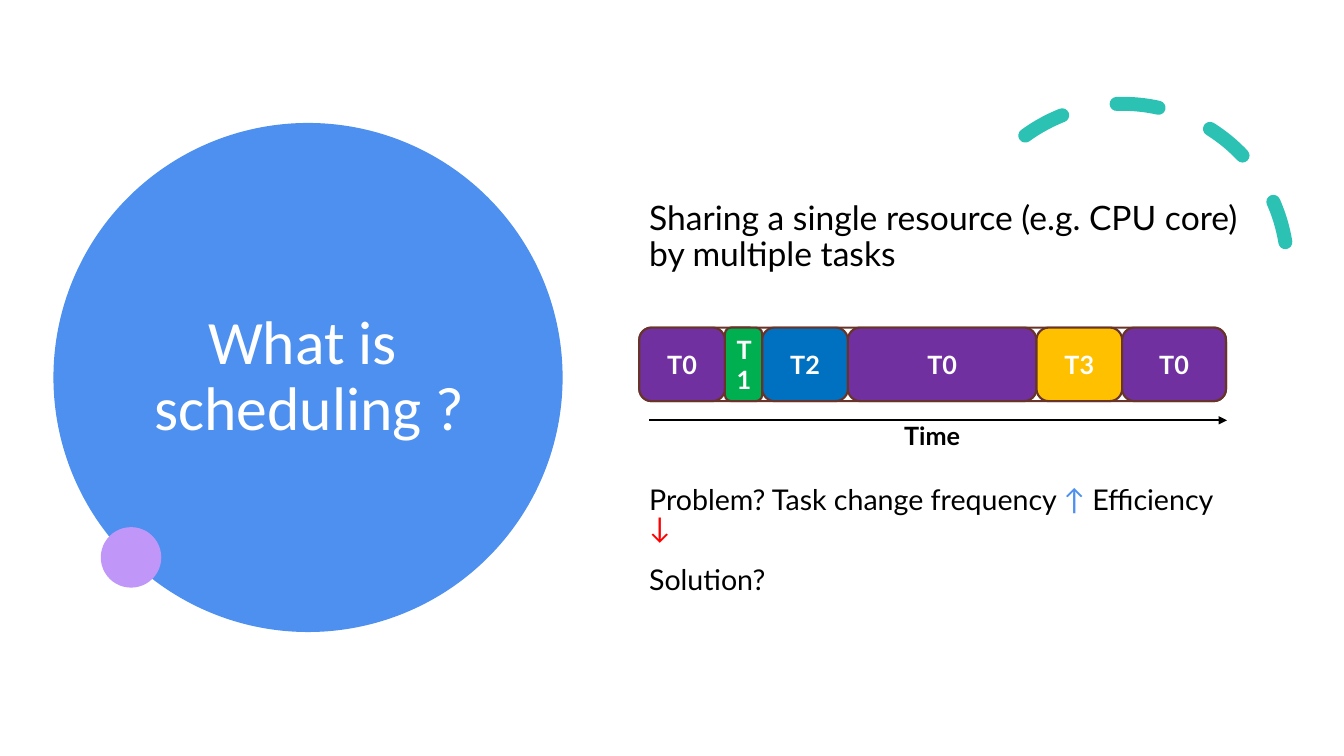
import lxml.etree
import pptx
import pptx.dml.color
import pptx.enum.dml
import pptx.enum.shapes
import pptx.enum.text
import pptx.oxml.ns
import pptx.util

Color = pptx.dml.color.RGBColor
Shape = pptx.enum.shapes.MSO_SHAPE
Align = pptx.enum.text.PP_ALIGN
MIDDLE = pptx.enum.text.MSO_ANCHOR.MIDDLE

WHITE = Color(0xFF, 0xFF, 0xFF)
BLACK = Color(0x00, 0x00, 0x00)
BLUE = Color(0x4D, 0x90, 0xEF)
TEAL = Color(0x2B, 0xC2, 0xB4)
LILAC = Color(0xC0, 0x97, 0xF8)
RED = Color(0xFF, 0x00, 0x00)
BROWN = Color(0x68, 0x34, 0x2A)
PURPLE = Color(0x70, 0x30, 0xA0)
GREEN = Color(0x00, 0xB0, 0x50)
NAVY = Color(0x00, 0x70, 0xC0)
AMBER = Color(0xFF, 0xC0, 0x00)

TASKS = [
    ("T0", 85, PURPLE),
    ("T1", 37, GREEN),
    ("T2", 85, NAVY),
    ("T0", 187, PURPLE),
    ("T3", 85, AMBER),
    ("T0", 103, PURPLE),
]
BAR_LEFT, BAR_TOP, BAR_HEIGHT = 634, 325, 73


def px(*lengths):
    """Turn lengths of 100 px to the inch into EMU."""
    return [pptx.util.Emu(length * 9144) for length in lengths]


class SlideBuilder:
    """Hold the text style and the current page, and draw elements on it."""

    font_name = "Lato"

    def __init__(self, deck):
        """Add a title-only page to the deck."""
        self.page = deck.slides.add_slide(deck.slide_layouts[5])

    def style(self, para, size, color=BLACK, name=None, bold=False):
        """Set the font of a whole paragraph."""
        para.font.name = name or self.font_name
        para.font.size = pptx.util.Pt(size)
        para.font.bold = bold
        para.font.color.rgb = color

    def shape(self, kind, place, fill=None, line=None, width=1.5):
        """Draw a preset shape without shadow."""
        shape = self.page.shapes.add_shape(kind, *px(*place))
        shape.shadow.inherit = False
        if fill is None:
            shape.fill.background()
        else:
            shape.fill.solid()
            shape.fill.fore_color.rgb = fill
        if line is None:
            shape.line.fill.background()
        else:
            shape.line.color.rgb = line
            shape.line.width = pptx.util.Pt(width)
        return shape

    def dashed_arc(self, place, rotation, angles):
        """Draw a round-capped dashed arc."""
        arc = self.shape(Shape.ARC, place, line=TEAL, width=10)
        arc.rotation = rotation
        arc.adjustments[0], arc.adjustments[1] = angles
        arc.line.dash_style = pptx.enum.dml.MSO_LINE.DASH
        arc.element.spPr.find(pptx.oxml.ns.qn("a:ln")).set("cap", "rnd")

    def title(self, place, lines):
        """Place the title in front of everything drawn so far."""
        title = self.page.shapes.title
        title.left, title.top, title.width, title.height = px(*place)
        frame = title.text_frame
        frame.auto_size = pptx.enum.text.MSO_AUTO_SIZE.NONE
        frame.vertical_anchor = MIDDLE
        para = frame.paragraphs[0]
        para.alignment = Align.CENTER
        para.line_spacing = 0.9
        self.style(para, 44, WHITE, "Calibri")
        for index, line in enumerate(lines):
            if index:
                para.add_line_break()
            para.add_run().text = line
        title.element.getparent().append(title.element)

    def task(self, place, label, fill):
        """Draw one labelled time slice."""
        frame = self.shape(Shape.ROUNDED_RECTANGLE, place, fill, BROWN).text_frame
        frame.vertical_anchor = MIDDLE
        para = frame.paragraphs[0]
        para.text = label
        para.alignment = Align.CENTER
        self.style(para, 18, WHITE, bold=True)

    def text(self, place, paragraphs, size, spacing):
        """Write wrapped paragraphs, each a list of (words, color) spans."""
        frame = self.page.shapes.add_textbox(*px(*place)).text_frame
        frame.word_wrap = True
        for index, spans in enumerate(paragraphs):
            para = frame.add_paragraph() if index else frame.paragraphs[0]
            para.line_spacing = spacing
            para.space_before = pptx.util.Pt(10)
            para.space_after = pptx.util.Pt(8)
            self.style(para, size)
            for words, color in spans:
                span = para.add_run()
                span.text = words
                if color != BLACK:
                    span.font.color.rgb = color

    def label(self, place, words):
        """Write one bold line that does not wrap."""
        frame = self.page.shapes.add_textbox(*px(*place)).text_frame
        frame.word_wrap = False
        frame.auto_size = pptx.enum.text.MSO_AUTO_SIZE.SHAPE_TO_FIT_TEXT
        para = frame.paragraphs[0]
        para.text = words
        self.style(para, 18, bold=True)

    def arrow(self, start_x, start_y, end_x, end_y):
        """Draw a straight arrow."""
        kind = pptx.enum.shapes.MSO_CONNECTOR.STRAIGHT
        arrow = self.page.shapes.add_connector(kind, *px(start_x, start_y, end_x, end_y))
        arrow.line.color.rgb = BLACK
        arrow.line.width = pptx.util.Pt(1.5)
        qn = pptx.oxml.ns.qn
        properties = arrow.element.spPr
        outline = properties.find(qn("a:ln"))
        lxml.etree.SubElement(outline, qn("a:tailEnd"), type="triangle")
        lxml.etree.SubElement(properties, qn("a:effectLst"))


def main():
    """Build the scheduling slide."""
    deck = pptx.Presentation()
    deck.slide_width, deck.slide_height = px(1333, 750)
    slide = SlideBuilder(deck)

    slide.shape(Shape.OVAL, (53, 122, 505, 505), BLUE)
    slide.dashed_arc((950, 103, 327, 327), 330.2, (158.17, 17.81))
    slide.shape(Shape.OVAL, (100, 523, 60, 60), LILAC)
    slide.title((67, 122, 480, 505), ["What is ", "scheduling ?"])

    sharing = "Sharing a single resource (e.g. CPU core) by multiple tasks"
    slide.text((634, 195, 607, 86), [[(sharing, BLACK)]], 24, 0.9)

    bar_width = sum(width for _, width, _ in TASKS)
    bar = (BAR_LEFT, BAR_TOP, bar_width, BAR_HEIGHT)
    slide.shape(Shape.ROUNDED_RECTANGLE, bar, line=BROWN)
    left = BAR_LEFT
    for label, width, fill in TASKS:
        slide.task((left, BAR_TOP, width, BAR_HEIGHT), label, fill)
        left += width
    slide.arrow(644, 417, 1217, 417)
    slide.label((887, 412, 77, 40), "Time")

    problem = [
        ("Problem? Task change frequency ", BLACK),
        ("↑", BLUE),
        (" Efficiency ", BLACK),
        ("↓", RED),
    ]
    slide.text((634, 480, 607, 101), [problem, [("Solution?", BLACK)]], 20.4, 0.8)

    deck.save("out.pptx")


if __name__ == "__main__":
    main()
